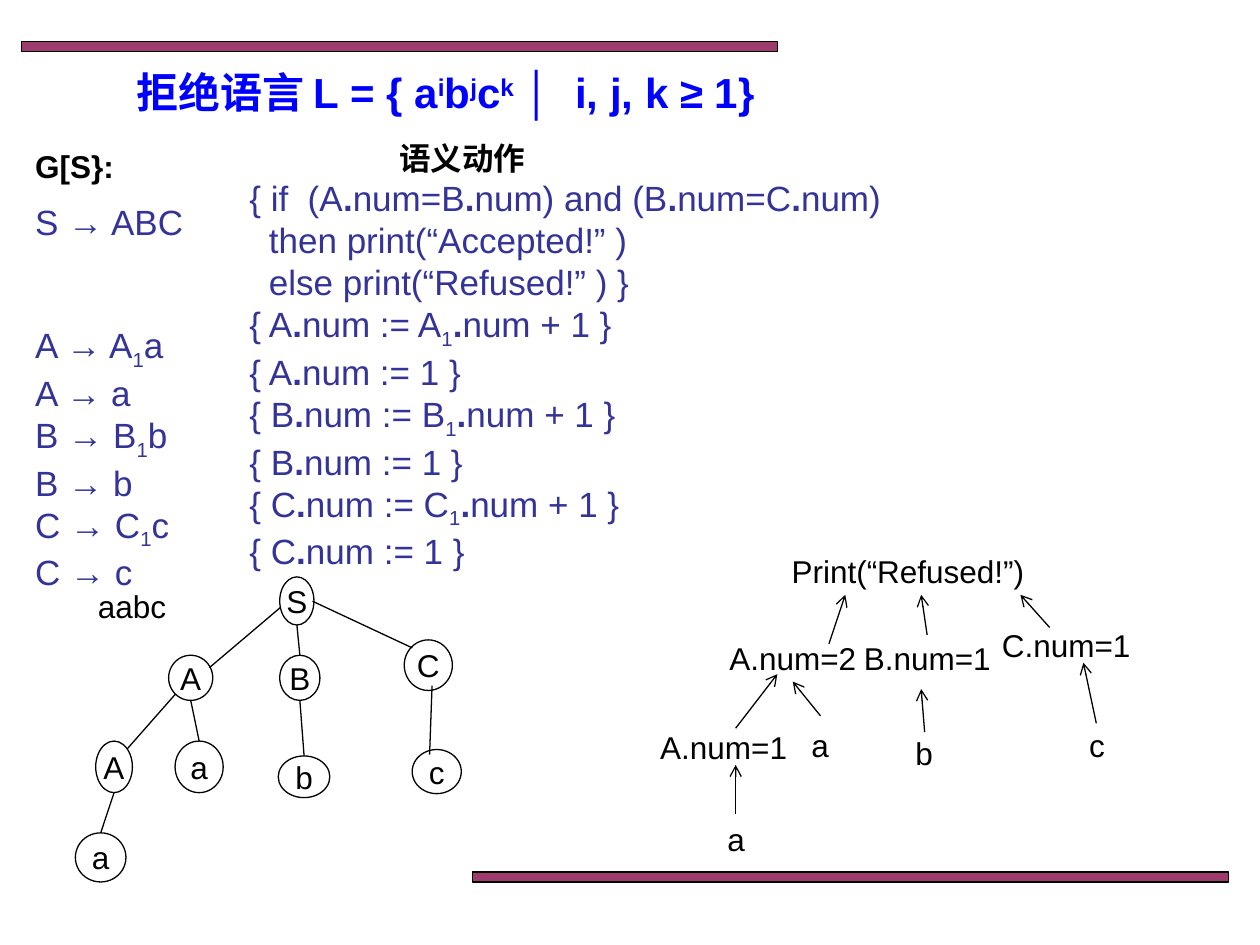
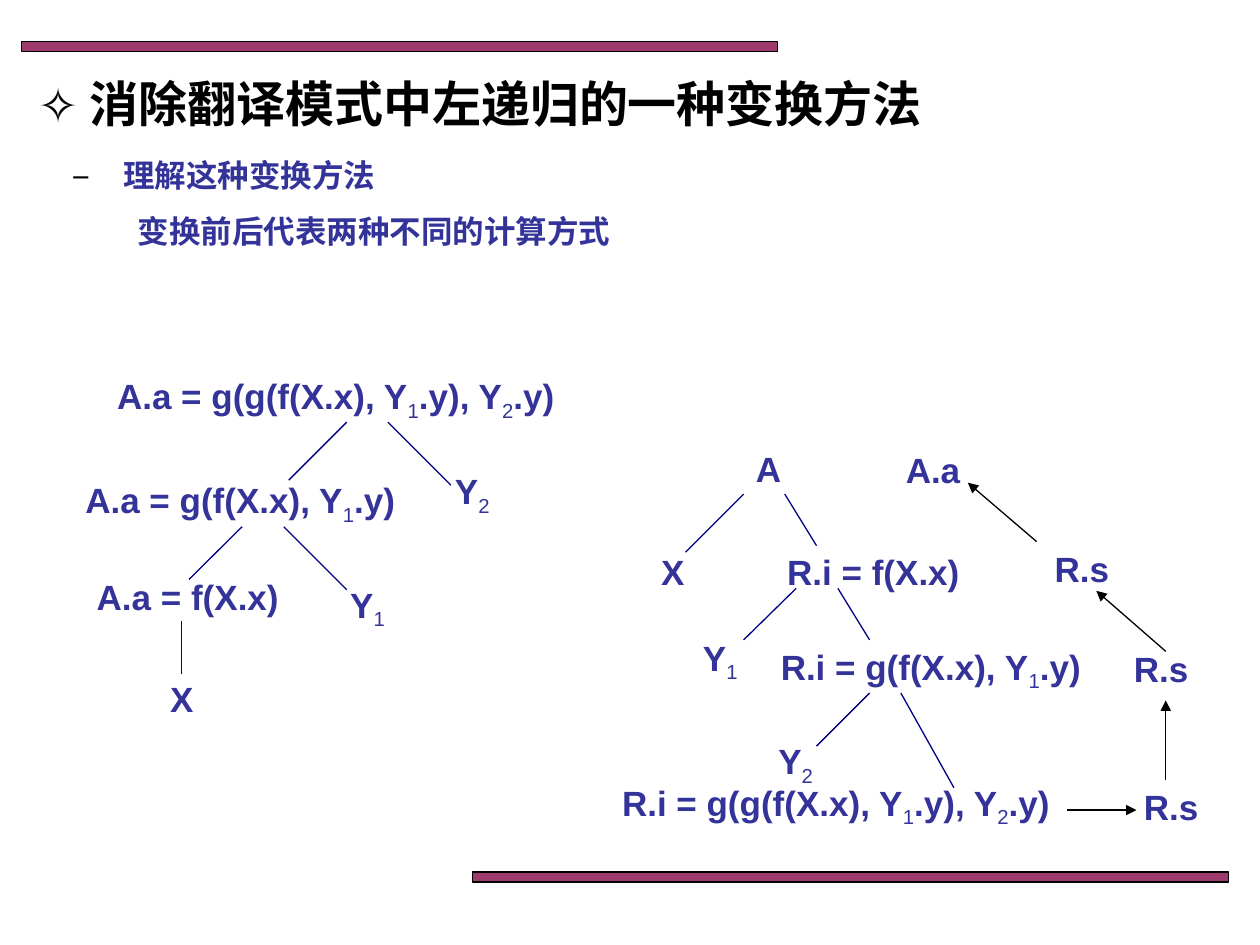
from itertools import groupby

from lxml import etree
from pptx import Presentation
from pptx.dml import color as dml
from pptx.enum import shapes, text
from pptx.oxml import ns
from pptx.util import Cm, Pt

COLORS = {"black": "000000", "band": "993366", "title": "0000FF",
          "body": "333399", "branch": "000080"}
LATIN, CJK = "Arial", "Noto Sans CJK SC"
SHIFTS = {"_": -25000, "^": 30000}


def write(slide, box, paragraphs, shape=None, outline=False, wrap=True,
          anchor=text.MSO_ANCHOR.TOP, **shared):
    """Place paragraphs, each (text, format); _x is subscript x, ^x superscript x."""
    box = [Cm(v) for v in box]
    if shape is None:
        holder = slide.shapes.add_textbox(*box)
    else:
        holder = slide.shapes.add_shape(shape, *box)
        holder.shadow.inherit = False
        holder.fill.background()
        if outline:
            holder.line.color.rgb = dml.RGBColor.from_string(COLORS["black"])
            holder.line.width = Pt(0.75)
        else:
            holder.line.fill.background()
    frame = holder.text_frame
    frame.word_wrap = wrap
    frame.vertical_anchor = anchor
    for index, (content, special) in enumerate(paragraphs):
        look = {"size": 18, "color": "black", "bold": False, "bold_dots": False,
                "align": text.PP_ALIGN.LEFT, "gap": 0, "margin": 0, "hang": 0,
                "bullet": None, **shared, **special}
        para = frame.paragraphs[0] if index == 0 else frame.add_paragraph()
        props = para._p.get_or_add_pPr()
        props.set("marL", str(Cm(look["margin"])))
        props.set("indent", str(-Cm(look["hang"])))
        if look["bullet"]:
            tint = etree.SubElement(props, ns.qn("a:buClr"))
            etree.SubElement(tint, ns.qn("a:srgbClr"), val=COLORS["black"])
            etree.SubElement(props, ns.qn("a:buFont"), typeface=CJK)
            etree.SubElement(props, ns.qn("a:buChar"), char=look["bullet"])
        para.alignment = look["align"]
        if look["gap"]:
            para.space_before = Pt(look["gap"])
        marked, letters = [], iter(content)
        for letter in letters:
            shift = SHIFTS.get(letter, 0)
            if shift:
                letter = next(letters)
            heavy = (look["bold"] and shift >= 0) or (look["bold_dots"] and letter == ".")
            marked.append((letter, shift, heavy))
        for (shift, heavy), group in groupby(marked, key=lambda mark: mark[1:]):
            run = para.add_run()
            run.text = "".join(mark[0] for mark in group)
            run.font.name = LATIN
            run.font.size = Pt(look["size"])
            run.font.bold = heavy
            run.font.color.rgb = dml.RGBColor.from_string(COLORS[look["color"]])
            run_props = run._r.get_or_add_rPr()
            etree.SubElement(run_props, ns.qn("a:ea"), typeface=CJK)
            if shift:
                run_props.set("baseline", str(shift))


def draw_line(slide, ends, color="black", arrow=None):
    """Draw a straight line, with an optional arrowhead at its end."""
    line = slide.shapes.add_connector(shapes.MSO_CONNECTOR.STRAIGHT, *[Cm(v) for v in ends])
    line.line.color.rgb = dml.RGBColor.from_string(COLORS[color])
    line.line.width = Pt(0.75)
    props = line._element.spPr
    if arrow:
        etree.SubElement(props.find(ns.qn("a:ln")), ns.qn("a:tailEnd"), type=arrow)
    etree.SubElement(props, ns.qn("a:effectLst"))


prs = Presentation()
prs.slide_width, prs.slide_height = Cm(25.4), Cm(19.05)

# Both slides carry the two bands
grammar, transform = [prs.slides.add_slide(prs.slide_layouts[6]) for _ in range(2)]
for slide in (grammar, transform):
    for left, top in ((0.43, 0.84), (9.53, 17.58)):
        band = slide.shapes.add_shape(shapes.MSO_SHAPE.RECTANGLE,
                                      Cm(left), Cm(top), Cm(15.24), Cm(0.2))
        band.shadow.inherit = False
        band.fill.solid()
        band.fill.fore_color.rgb = dml.RGBColor.from_string(COLORS["band"])
        tint = band._element.spPr.find(ns.qn("a:solidFill"))[0]
        etree.SubElement(tint, ns.qn("a:alpha"), val="96000")
        band.line.color.rgb = dml.RGBColor.from_string(COLORS["black"])
        band.line.width = Pt(0.75)

# Slide 1: title
write(grammar, (0.89, 1.22, 16.18, 1.27), [("拒绝语言 L = { a^ib^jc^k │  i, j, k ≥ 1}", {})],
      size=24, color="title", bold=True, align=text.PP_ALIGN.CENTER)

# Slide 1: productions and their semantic actions
heading = {"size": 18, "color": "black", "bold": True}
actions = [("语义动作", {**heading, "margin": 3.02}),
           ("{ if  (A.num=B.num) and (B.num=C.num)", {}),
           ("  then print(“Accepted!” )", {}),
           ("  else print(“Refused!” ) }", {})]
productions = [("G[S}:", heading), ("S → ABC", {"gap": 9.2})]
for symbol in "ABC":
    actions += [(f"{{ {symbol}.num := {symbol}_1.num + 1 }}", {}),
                (f"{{ {symbol}.num := 1 }}", {})]
    productions += [(f"{symbol} → {symbol}_1{symbol.lower()}",
                     {"gap": 46 if symbol == "A" else 0}),
                    (f"{symbol} → {symbol.lower()}", {})]
write(grammar, (4.78, 2.67, 13.44, 9.07), actions, size=20, color="body", bold_dots=True)
write(grammar, (0.46, 2.84, 4.24, 9.22), productions, size=20, color="body")
write(grammar, (0.41, 11.71, 4.5, 1.02), [("aabc", {})], align=text.PP_ALIGN.CENTER)

# Slide 1: parse tree on the left, attribute values on the right
parse_nodes = [
    ("S", 5.64, 11.63, 0.69, 0.97), ("A", 3.4, 13.21, 0.89, 0.91),
    ("C", 8.15, 12.9, 0.97, 1.02), ("A", 1.93, 14.94, 0.74, 1.04),
    ("B", 5.64, 13.21, 0.81, 0.91), ("a", 1.52, 16.79, 1.02, 0.99),
    ("a", 3.53, 14.94, 0.97, 1.04), ("b", 5.61, 15.24, 1.04, 0.84),
    ("c", 8.31, 15.11, 0.99, 0.89)]
value_nodes = [
    ("Print(“Refused!”)", 16.54, 10.8, 3.53, 1.4), ("A.num=2", 15.54, 12.8, 0.89, 0.91),
    ("C.num=1", 21.01, 12.5, 0.97, 1.02), ("A.num=1", 14.22, 14.53, 0.74, 1.04),
    ("B.num=1", 18.29, 12.8, 0.81, 0.91), ("a", 14.33, 16.41, 1.02, 0.99),
    ("a", 16.05, 14.43, 0.97, 1.19), ("b", 18.11, 14.76, 1.04, 0.84),
    ("c", 21.62, 14.58, 0.99, 0.89)]
for nodes, outline in ((parse_nodes, True), (value_nodes, False)):
    for label, *box in nodes:
        write(grammar, box, [(label, {})], shape=shapes.MSO_SHAPE.OVAL, outline=outline,
              wrap=False, anchor=text.MSO_ANCHOR.MIDDLE, align=text.PP_ALIGN.CENTER)

# Straight drops run from bottom middle to top middle
for parent, child in ((0, 4), (1, 6), (3, 5), (4, 7)):
    _, x1, y1, w1, h1 = parse_nodes[parent]
    _, x2, y2, w2, _ = parse_nodes[child]
    draw_line(grammar, (x1 + w1 / 2, y1 + h1, x2 + w2 / 2, y2))
for slanted in ((5.66, 12.24, 4.22, 13.46), (3.53, 14, 2.57, 15.09),
                (6.3, 12.12, 8.31, 13.06), (8.71, 13.82, 8.66, 15.21)):
    draw_line(grammar, slanted)
for upward in ((16.71, 12.98, 17.04, 11.99), (14.83, 14.68, 15.67, 13.59),
               (14.83, 16.41, 14.83, 15.42), (16.54, 14.43, 15.98, 13.74),
               (18.69, 12.8, 18.57, 11.99), (21.16, 12.65, 20.57, 11.99),
               (18.64, 14.76, 18.57, 13.89), (22.1, 14.58, 21.84, 13.36)):
    draw_line(grammar, upward, arrow="arrow")

# Slide 2: outline
write(transform, (0.51, 1.35, 22.43, 4.5), [
    ("消除翻译模式中左递归的一种变换方法",
     {"size": 28, "bullet": "✧", "margin": 1.05, "hang": 1.05}),
    ("理解这种变换方法",
     {"color": "body", "bullet": "−", "margin": 1.73, "hang": 1.02, "gap": 14}),
    ("变换前后代表两种不同的计算方式", {"color": "body", "margin": 2.02, "gap": 10}),
], bold=True)

# Slide 2: formulas of both trees
formulas = [
    ("A.a = g(g(f(X.x), Y_1.y), Y_2.y)", 2.11, 7.42, 9.32),
    ("A.a = g(f(X.x), Y_1.y)", 1.47, 9.53, 6.78),
    ("A.a = f(X.x)", 1.7, 11.48, 4.24),
    ("Y_2", 8.92, 9.35, 1.4), ("Y_1", 6.81, 11.63, 1.4), ("X", 3.18, 13.54, 1.4),
    ("A", 14.99, 8.89, 1.4), ("X", 13.08, 10.97, 1.4),
    ("Y_1", 13.92, 12.7, 1.4), ("Y_2", 15.44, 14.78, 1.4),
    ("R.i = f(X.x)", 15.62, 10.97, 4.24),
    ("R.i = g(f(X.x), Y_1.y)", 15.49, 12.88, 6.78),
    ("R.i = g(g(f(X.x), Y_1.y), Y_2.y)", 12.29, 15.62, 9.32),
    ("A.a", 18.01, 8.92, 2.29), ("R.s", 21.01, 10.92, 2.29),
    ("R.s", 22.61, 12.93, 2.29), ("R.s", 22.81, 15.72, 2.29)]
for formula, left, top, width in formulas:
    write(transform, (left, top, width, 1.09), [(formula, {})],
          size=20, color="body", bold=True)

# Slide 2: tree branches, then the flow of R.s up to A.a
for branch in ((9.09, 9.78, 7.82, 8.51), (5.82, 9.68, 6.99, 8.51),
               (3.81, 11.68, 4.88, 10.62), (6.99, 11.89, 5.72, 10.62),
               (3.66, 13.59, 3.66, 12.52), (16.46, 11, 15.82, 9.96),
               (13.82, 11.13, 14.99, 9.96), (14.99, 12.9, 16.05, 11.86),
               (17.53, 12.9, 16.89, 11.86), (19.23, 15.88, 18.16, 13.97),
               (16.46, 15.04, 17.53, 13.97)):
    draw_line(transform, branch, color="branch")
for flow in ((21.51, 16.33, 22.91, 16.33), (23.5, 15.72, 23.5, 14.12),
             (23.5, 13.13, 22.1, 11.91), (20.9, 10.92, 19.51, 9.73)):
    draw_line(transform, flow, arrow="triangle")

prs.save("out.pptx")
